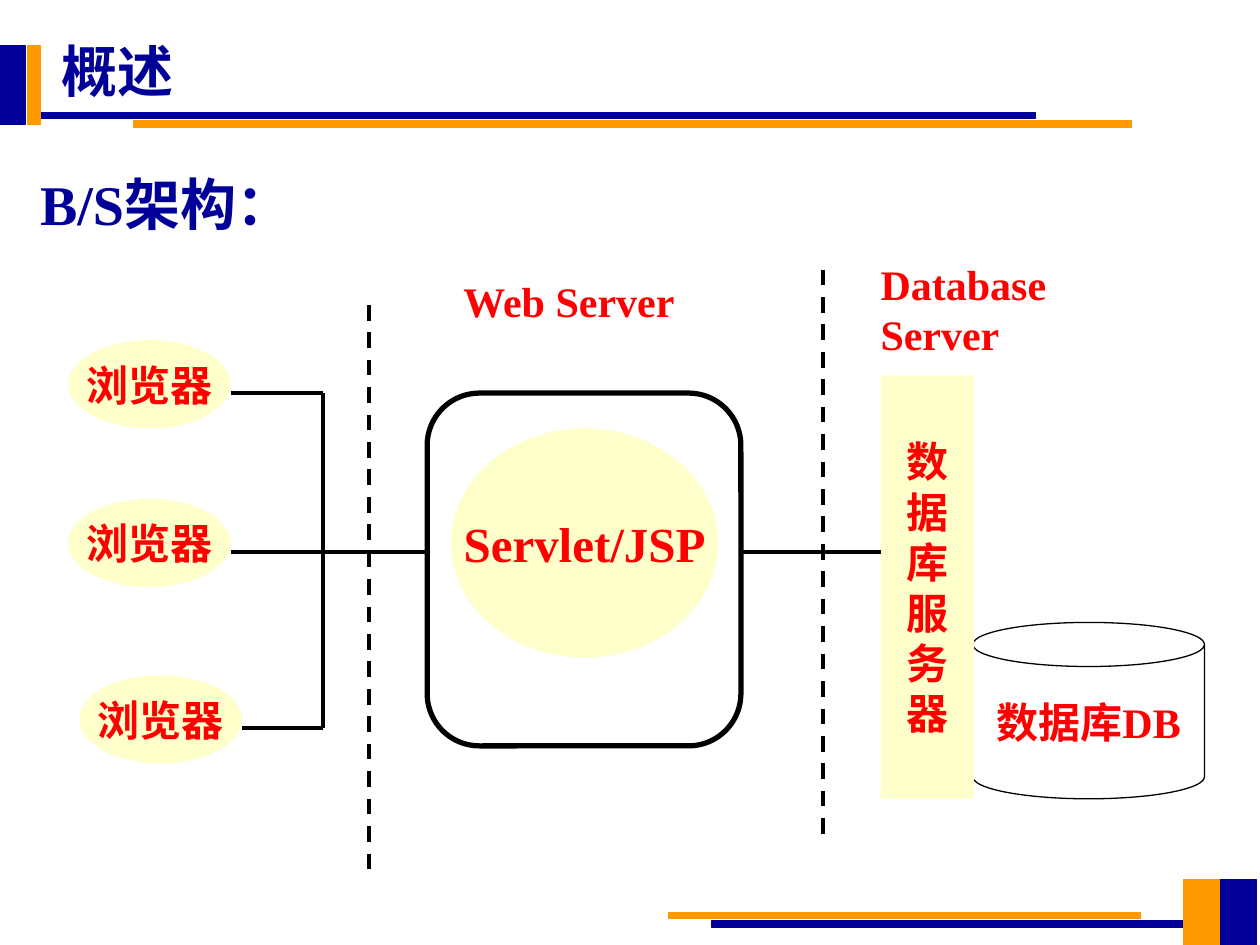
from lxml import etree
from pptx import Presentation
from pptx.dml.color import RGBColor
from pptx.enum.dml import MSO_LINE
from pptx.enum.shapes import MSO_CONNECTOR, MSO_SHAPE
from pptx.enum.text import MSO_ANCHOR, PP_ALIGN
from pptx.oxml.ns import qn
from pptx.util import Inches, Pt

RECT = MSO_SHAPE.RECTANGLE
OVAL = MSO_SHAPE.OVAL
ROUNDED = MSO_SHAPE.ROUNDED_RECTANGLE
CAN = MSO_SHAPE.CAN
STRAIGHT = MSO_CONNECTOR.STRAIGHT
DASH = MSO_LINE.DASH
MIDDLE = MSO_ANCHOR.MIDDLE
TOP = MSO_ANCHOR.TOP
CENTER = PP_ALIGN.CENTER
LEFT = PP_ALIGN.LEFT

FONT = "Times New Roman"
NAVY, ORANGE = "000099", "FF9900"
CREAM, RED, BLACK = "FFFFCC", "FF0000", "000000"


def rgb(color):
    return RGBColor.from_string(color)


def write(frame, text, size, color, align, anchor, wrap):
    frame.text = text
    frame.word_wrap = wrap
    frame.vertical_anchor = anchor
    for paragraph in frame.paragraphs:
        paragraph.alignment = align
        for run in paragraph.runs:
            run.font.name = FONT
            run.font.size = Pt(size)
            run.font.bold = True
            run.font.color.rgb = rgb(color)


def add_block(slide, kind, box, fill=None, line=None, width=0.75, text=None, size=24):
    block = slide.shapes.add_shape(kind, *map(Inches, box))
    block.shadow.inherit = False
    if fill:
        block.fill.solid()
        block.fill.fore_color.rgb = rgb(fill)
    else:
        block.fill.background()
    if line:
        block.line.color.rgb = rgb(line)
        block.line.width = Pt(width)
    else:
        block.line.fill.background()
    if text:
        write(block.text_frame, text, size, RED, CENTER, MIDDLE, False)


def add_label(slide, box, text, size=24, color=RED, anchor=TOP):
    label = slide.shapes.add_textbox(*map(Inches, box))
    write(label.text_frame, text, size, color, LEFT, anchor, True)


def add_line(slide, x1, y1, x2, y2, dash=None):
    connector = slide.shapes.add_connector(STRAIGHT, *map(Inches, (x1, y1, x2, y2)))
    connector.line.color.rgb = rgb(BLACK)
    connector.line.width = Pt(2.25)
    if dash:
        connector.line.dash_style = dash
    etree.SubElement(connector._element.spPr, qn("a:effectLst"))


def add_decoration(slide):
    bars = [
        # Bottom right corner
        ((9.68, 6.98, 0.29, 0.52), NAVY),
        ((5.31, 7.24, 3.74, 0.05), ORANGE),
        ((5.65, 7.31, 3.74, 0.05), NAVY),
        ((9.39, 6.98, 0.29, 0.52), ORANGE),
        # Header
        ((0.3, 0.89, 7.92, 0.05), NAVY),
        ((1.06, 0.96, 7.92, 0.05), ORANGE),
        ((0, 0.36, 0.2, 0.63), NAVY),
        ((0.22, 0.36, 0.1, 0.63), ORANGE),
    ]
    for box, color in bars:
        add_block(slide, RECT, box, color, color)


def add_architecture(slide):
    # Browsers
    for x, y in ((0.54, 2.7), (0.54, 3.96), (0.63, 5.36)):
        add_block(slide, OVAL, (x, y, 1.29, 0.7), CREAM, text="浏览器")

    # Web server
    add_block(slide, OVAL, (3.58, 3.4, 2.12, 1.82), CREAM, text="Servlet/JSP", size=28)
    add_block(slide, ROUNDED, (3.39, 3.12, 2.49, 2.8), line=BLACK, width=3)

    # Database and its server, one character a line
    add_block(slide, CAN, (7.72, 4.94, 1.84, 1.4), line=BLACK, text="数据库DB")
    add_block(slide, RECT, (6.99, 2.98, 0.74, 3.36), CREAM,
              text="\n".join("数据库服务器"))

    # Links from the browsers to the database server
    bus_x, top_y, middle_y, bottom_y = 2.56, 3.12, 4.38, 5.78
    add_line(slide, 1.83, top_y, bus_x, top_y)
    add_line(slide, bus_x, top_y, bus_x, bottom_y)
    add_line(slide, 1.92, bottom_y, bus_x, bottom_y)
    add_line(slide, 1.83, middle_y, 3.39, middle_y)
    add_line(slide, 5.88, middle_y, 6.99, middle_y)

    # Tier dividers
    for x, y in ((2.93, 2.42), (6.53, 2.14)):
        add_line(slide, x, y, x, y + 4.48, DASH)

    # Tier names
    add_label(slide, (3.58, 2.14, 2.21, 0.5), "Web Server")
    add_label(slide, (6.89, 2, 2.21, 0.9), "Database Server")


def main():
    deck = Presentation()
    deck.slide_width = Inches(10)
    deck.slide_height = Inches(7.5)
    slide = deck.slides.add_slide(deck.slide_layouts[6])

    add_decoration(slide)
    add_label(slide, (0.22, 0.99, 7.78, 1.25), "B/S架构：", 32, NAVY, MIDDLE)
    add_architecture(slide)
    add_label(slide, (0.39, 0.21, 9.65, 0.7), "概述", 32, NAVY, MIDDLE)

    deck.save("out.pptx")


if __name__ == "__main__":
    main()
